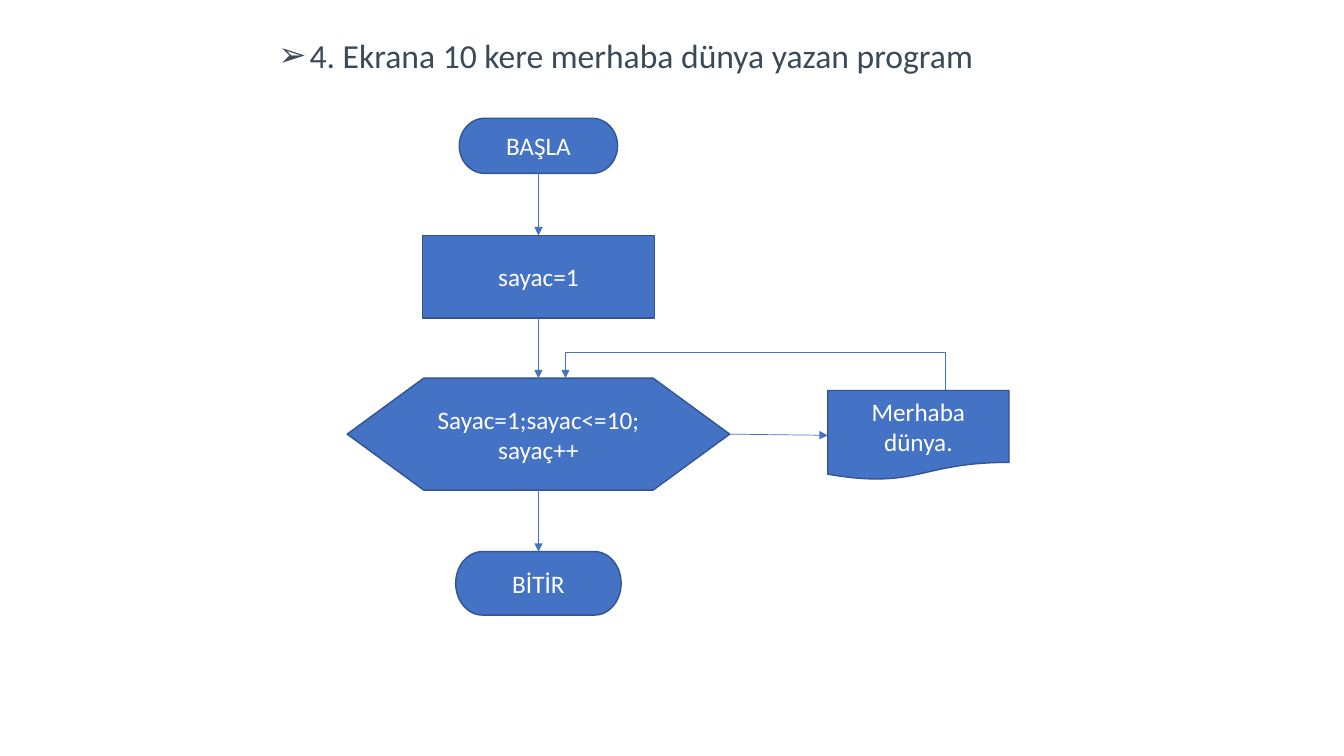
from itertools import pairwise

from lxml.etree import SubElement
from pptx import Presentation
from pptx.dml.color import RGBColor
from pptx.enum.shapes import MSO_CONNECTOR, MSO_SHAPE
from pptx.enum.text import MSO_ANCHOR, MSO_AUTO_SIZE, PP_ALIGN
from pptx.oxml.ns import qn
from pptx.util import Cm, Pt

COLORS = {"fill": "4472C4", "outline": "325491", "text": "FFFFFF", "heading": "3A4A58"}
FONT = "Calibri"
TOP, LEFT, BOTTOM, RIGHT = range(4)


def color(name):
    """Return the named colour."""
    return RGBColor.from_string(COLORS[name])


def format_paragraph(paragraph, size, color_name):
    """Centre a paragraph and set its font."""
    paragraph.alignment = PP_ALIGN.CENTER
    paragraph.font.name = FONT
    paragraph.font.size = Pt(size)
    paragraph.font.color.rgb = color(color_name)


def add_heading(slide, text, left, top, width, height):
    """Fill the subtitle placeholder with one bulleted line."""
    title = slide.shapes.title
    title.element.getparent().remove(title.element)
    heading = slide.placeholders[1]
    heading.left, heading.top = Cm(left), Cm(top)
    heading.width, heading.height = Cm(width), Cm(height)
    frame = heading.text_frame
    frame.text = text
    frame.auto_size = MSO_AUTO_SIZE.NONE
    frame.vertical_anchor = MSO_ANCHOR.TOP
    paragraph = frame.paragraphs[0]
    paragraph.line_spacing = 0.9
    paragraph.space_before = Pt(10)
    properties = paragraph._p.get_or_add_pPr()
    properties.set("marL", str(Cm(0.79)))
    properties.set("indent", str(Cm(-0.79)))
    SubElement(properties, qn("a:buChar"), char="\u27a2")
    format_paragraph(paragraph, 24, "heading")


def add_node(slide, kind, text, left, top, width, height):
    """Add one flowchart symbol with its label."""
    node = slide.shapes.add_shape(kind, Cm(left), Cm(top), Cm(width), Cm(height))
    node.shadow.inherit = False
    node.fill.solid()
    node.fill.fore_color.rgb = color("fill")
    node.line.color.rgb = color("outline")
    node.line.width = Pt(1)
    frame = node.text_frame
    frame.text = text
    frame.word_wrap = True
    frame.vertical_anchor = MSO_ANCHOR.MIDDLE
    format_paragraph(frame.paragraphs[0], 18, "text")
    return node


def add_arrow(slide, kind, start_x, start_y, end_x, end_y):
    """Add a thin connector with a triangle at its end."""
    arrow = slide.shapes.add_connector(kind, Cm(start_x), Cm(start_y), Cm(end_x), Cm(end_y))
    arrow.line.color.rgb = color("fill")
    arrow.line.width = Pt(0.5)
    SubElement(arrow.line._get_or_add_ln(), qn("a:tailEnd"), type="triangle")
    SubElement(arrow._element.spPr, qn("a:effectLst"))
    return arrow


def join_nodes(slide, source, source_site, target, target_site):
    """Glue a straight arrow between two symbols."""
    arrow = add_arrow(slide, MSO_CONNECTOR.STRAIGHT, 0, 0, 1, 1)
    arrow.begin_connect(source, source_site)
    arrow.end_connect(target, target_site)


def add_loop_back(slide, start_x, start_y, end_x, end_y, peak):
    """Add an elbow arrow that climbs to the peak, runs left and comes down."""
    rise, run = start_y - end_y, start_x - end_x
    center_x, center_y = (start_x + end_x) / 2, (start_y + end_y) / 2
    arrow = add_arrow(slide, MSO_CONNECTOR.ELBOW,
                      center_x - rise / 2, center_y + run / 2,
                      center_x + rise / 2, center_y - run / 2)
    properties = arrow._element.spPr
    properties.find(qn("a:xfrm")).set("rot", str(270 * 60000))
    bend = round((start_y - peak) / rise * 100000)
    guides = properties.find(qn("a:prstGeom")).find(qn("a:avLst"))
    SubElement(guides, qn("a:gd"), name="adj1", fmla=f"val {bend}")


def add_flowchart(slide, left, top):
    """Build the counting loop from the top left corner of its box."""
    axis = left + 4.83
    steps = [
        (MSO_SHAPE.FLOWCHART_TERMINATOR, "BAŞLA", 0, 3.99, 1.39),
        (MSO_SHAPE.FLOWCHART_PROCESS, "sayac=1", 2.95, 5.84, 2.08),
        (MSO_SHAPE.FLOWCHART_PREPARATION, "Sayac=1;sayac<=10;sayaç++", 6.55, 9.64, 2.82),
        (MSO_SHAPE.FLOWCHART_TERMINATOR, "BİTİR", 10.92, 4.17, 1.6),
    ]
    nodes = [add_node(slide, kind, text, axis - width / 2, top + offset, width, height)
             for kind, text, offset, width, height in steps]
    output = add_node(slide, MSO_SHAPE.FLOWCHART_DOCUMENT, "Merhaba dünya.",
                      left + 12.12, top + 6.86, 4.57, 2.26)
    for source, target in pairwise(nodes):
        join_nodes(slide, source, BOTTOM, target, TOP)
    join_nodes(slide, nodes[2], RIGHT, output, LEFT)
    add_loop_back(slide, left + 15.09, top + 6.86, left + 5.51, top + 6.55, top + 5.89)


def main():
    """Create the slide and save it."""
    presentation = Presentation()
    presentation.slide_width, presentation.slide_height = Cm(33.87), Cm(19.05)
    slide = presentation.slides.add_slide(presentation.slide_layouts[0])
    add_heading(slide, "4. Ekrana 10 kere merhaba dünya yazan program", 3.07, 0.86, 25.4, 1.37)
    add_flowchart(slide, 8.74, 2.98)
    presentation.save("out.pptx")


main()
